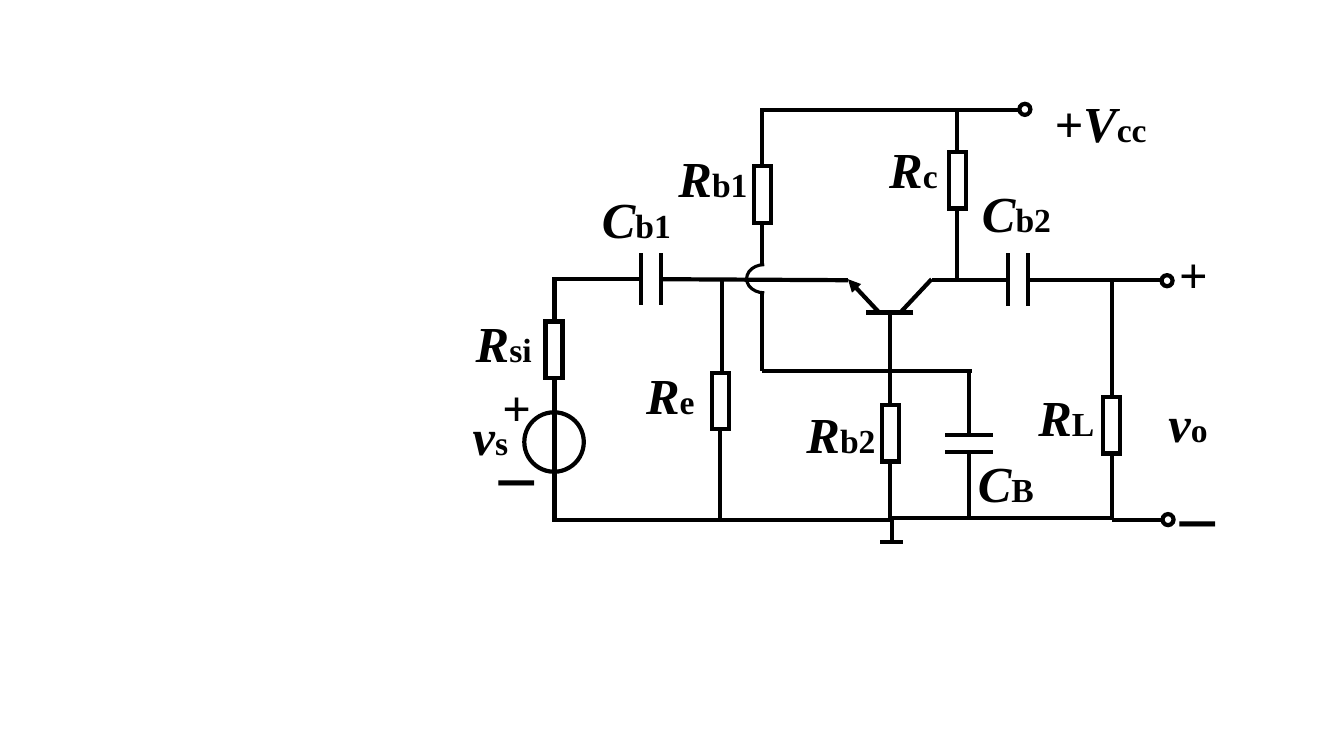
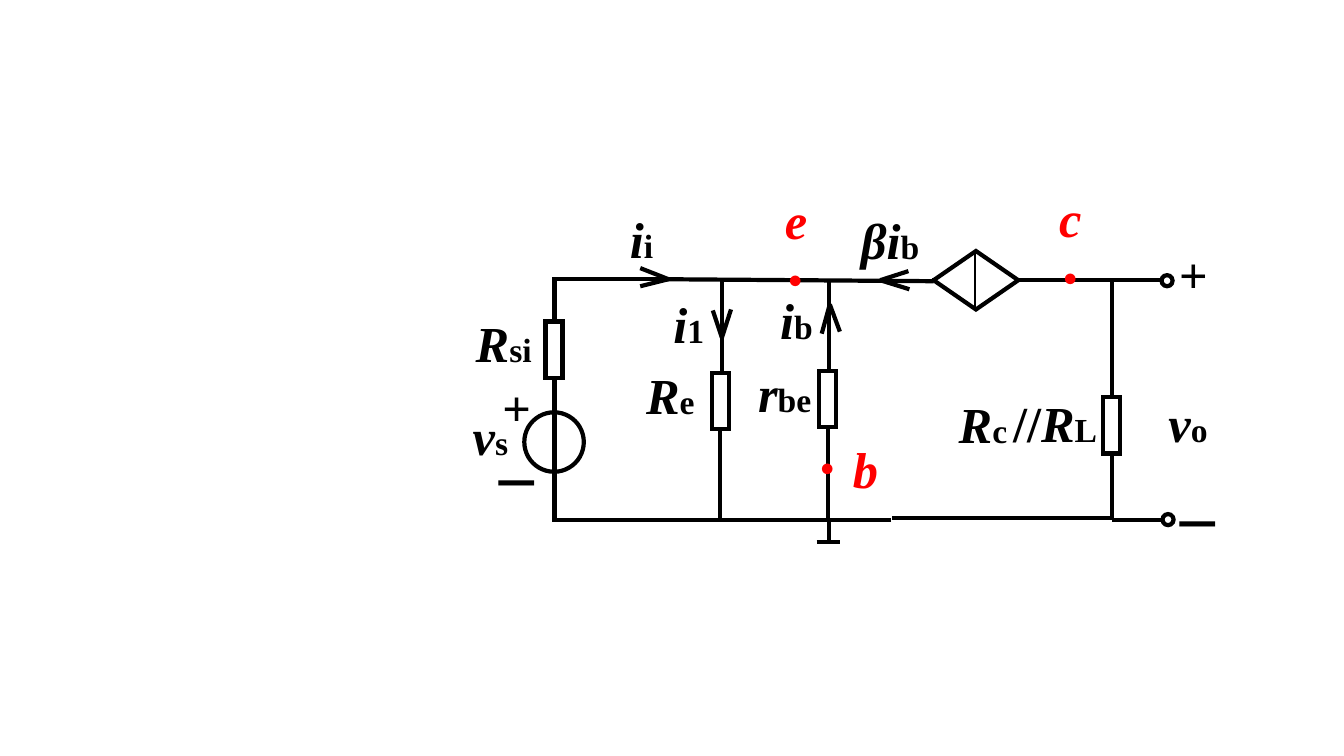
from dataclasses import dataclass

from lxml.etree import SubElement
from pptx import Presentation
from pptx.dml.color import RGBColor
from pptx.enum.shapes import MSO_CONNECTOR, MSO_SHAPE
from pptx.enum.text import MSO_AUTO_SIZE, PP_ALIGN
from pptx.oxml.ns import qn
from pptx.util import Inches, Pt


@dataclass(frozen=True)
class Theme:
    ink: RGBColor = RGBColor(0, 0, 0)
    paper: RGBColor = RGBColor(255, 255, 255)
    accent: RGBColor = RGBColor(255, 0, 0)
    symbol_font: str = "Times New Roman"
    dot_font: str = "Noto Sans CJK SC"
    symbol_size: int = 36
    index_size: int = 24
    wire: float = 3
    hop: float = 2.25
    hairline: float = 1.5
    thin_cover: float = 1


class Circuit:
    """Draws circuit elements on the current page."""

    def __init__(self, deck, theme):
        self.deck = deck
        self.theme = theme
        self.page = None

    def new_page(self):
        self.page = self.deck.slides.add_slide(self.deck.slide_layouts[6])

    def connector(self, kind, start, end, width=None):
        ends = [Inches(value) for value in (*start, *end)]
        line = self.page.shapes.add_connector(kind, *ends)
        line.line.color.rgb = self.theme.ink
        line.line.width = Pt(width or self.theme.wire)
        SubElement(line.element.spPr, qn("a:effectLst"))
        return line.element.spPr

    def wire(self, start, end, width=None, arrow=False):
        properties = self.connector(MSO_CONNECTOR.STRAIGHT, start, end, width)
        if arrow:
            SubElement(properties.find(qn("a:ln")), qn("a:tailEnd"), type="triangle")

    def elbow(self, start, end):
        """A wire with one corner: across from the start, then up or down."""
        properties = self.connector(MSO_CONNECTOR.ELBOW, start, end)
        properties.find(qn("a:prstGeom")).set("prst", "bentConnector2")
        SubElement(properties.find(qn("a:ln")), qn("a:miter"), lim="800000")

    def outline(self, kind, left, top, width, height):
        shape = self.page.shapes.add_shape(
            kind, Inches(left), Inches(top), Inches(width), Inches(height))
        shape.shadow.inherit = False
        shape.fill.solid()
        shape.fill.fore_color.rgb = self.theme.paper
        shape.line.color.rgb = self.theme.ink
        shape.line.width = Pt(self.theme.wire)
        SubElement(shape.element.spPr.find(qn("a:ln")), qn("a:miter"), lim="800000")
        return shape

    def resistor(self, left, top):
        return self.outline(MSO_SHAPE.RECTANGLE, left, top, 0.17, 0.56)

    def terminal(self, left, top):
        self.outline(MSO_SHAPE.OVAL, left, top, 0.11, 0.11)

    def cover(self, left, top, width, height, line_width=None):
        """A paper-coloured strip that opens one end of a capacitor."""
        strip = self.outline(MSO_SHAPE.RECTANGLE, left, top, width, height)
        strip.line.color.rgb = self.theme.paper
        strip.line.width = Pt(line_width or self.theme.wire)

    def upright_capacitor(self, left, top, lower_cover):
        self.outline(MSO_SHAPE.RECTANGLE, left, top, 0.2, 0.57)
        for cover_top in (2.4, lower_cover):
            self.cover(left - 0.1, cover_top, 0.4, 0.09)

    def flat_capacitor(self):
        self.resistor(9.52, 4.12).rotation = 90
        for left, top in ((9.24, 4.19), (9.86, 4.15)):
            self.cover(left, top, 0.13, 0.47, self.theme.thin_cover)

    def wire_hop(self):
        hop = self.outline(MSO_SHAPE.BLOCK_ARC, 7.44, 2.59, 0.28, 0.35)
        hop.rotation = 270
        hop.fill.background()
        hop.line.width = Pt(self.theme.hop)
        for index, value in enumerate((108, 0, 0)):
            hop.adjustments[index] = value

    def ground(self, x):
        self.wire((x, 5.16), (x, 5.38))
        self.wire((x - 0.12, 5.38), (x + 0.11, 5.38))

    def text_box(self, left, top, width, height=0.71):
        box = self.page.shapes.add_textbox(
            Inches(left), Inches(top), Inches(width), Inches(height))
        box.text_frame.word_wrap = False
        box.text_frame.auto_size = MSO_AUTO_SIZE.SHAPE_TO_FIT_TEXT
        return box.text_frame

    def span(self, para, text, size=None, italic=True, color=None, dot=False):
        span = para.add_run()
        span.text = text
        font = span.font
        font.name = self.theme.dot_font if dot else self.theme.symbol_font
        font.size = Pt(size or self.theme.symbol_size)
        font.bold = not dot
        font.italic = italic and not dot
        font.color.rgb = color or self.theme.ink
        SubElement(font._element, qn("a:ea"), typeface=self.theme.dot_font)

    def label(self, left, top, width, symbol, index="", prefix=""):
        """An italic symbol with a small upright index."""
        para = self.text_box(left, top, width).paragraphs[0]
        if prefix:
            self.span(para, prefix, italic=False)
        self.span(para, symbol, italic=symbol != "－")
        if index:
            self.span(para, index, self.theme.index_size, italic=False)

    def node_below(self, left, top, name):
        """A red node name with its dot on the next line."""
        frame = self.text_box(left, top, 0.71, 1.31)
        for para, text in ((frame.paragraphs[0], name), (frame.add_paragraph(), "·")):
            para.alignment = PP_ALIGN.CENTER
            self.span(para, text, color=self.theme.accent, dot=text == "·")

    def node_beside(self, left, top, name):
        para = self.text_box(left, top, 0.96).paragraphs[0]
        for text in ("·", name):
            self.span(para, text, color=self.theme.accent, dot=text == "·")

    def source_and_load(self, input_end):
        """The parts both pages share: source, emitter resistor, load, output."""
        self.outline(MSO_SHAPE.OVAL, 5.2, 4.09, 0.59, 0.59)
        for left, top in ((5.41, 3.19), (7.06, 3.7), (10.94, 3.94)):
            self.resistor(left, top)
        self.elbow((input_end, 2.77), (5.5, 3.19))
        self.elbow((8.84, 5.16), (5.5, 3.75))
        self.elbow((10.19, 2.78), (11.03, 3.94))
        self.elbow((8.85, 5.14), (11.03, 4.5))
        self.wire((7.16, 3.7), (7.16, 2.78))
        self.wire((7.14, 4.26), (7.14, 5.16))
        self.wire((10.62, 2.78), (9.24, 2.78))
        self.wire((11.02, 2.78), (11.58, 2.78))
        self.wire((11.03, 5.16), (11.53, 5.16))
        self.terminal(11.52, 2.73)
        self.terminal(11.53, 5.1)
        for label in (
            (4.62, 3.05, 0.76, "R", "si"),
            (4.59, 3.97, 0.56, "v", "s"),
            (4.88, 3.68, 0.49, "+"),
            (4.78, 4.44, 0.71, "－"),
            (6.31, 3.56, 0.69, "R", "e"),
            (11.59, 2.36, 0.49, "+"),
            (11.53, 4.84, 0.71, "－"),
            (11.49, 3.84, 0.59, "v", "o"),
        ):
            self.label(*label)


def draw_amplifier(circuit):
    circuit.new_page()
    circuit.source_and_load(input_end=6.36)

    # Supply and bias branch
    circuit.elbow((10.13, 1.09), (7.56, 1.65))
    circuit.wire((7.56, 2.63), (7.56, 2.23))
    circuit.wire((7.56, 3.68), (7.56, 2.92))
    circuit.wire_hop()
    circuit.wire((7.56, 3.68), (9.64, 3.68))
    circuit.wire((9.61, 5.14), (9.61, 3.68))
    circuit.wire((9.49, 2.77), (9.49, 1.1))
    circuit.terminal(10.11, 1.03)

    # Transistor
    circuit.wire((8.83, 3.1), (8.83, 5.16))
    circuit.wire((9.06, 3.1), (8.59, 3.1))
    circuit.wire((9.24, 2.77), (8.93, 3.1))
    circuit.wire((8.72, 3.1), (8.41, 2.77), arrow=True)
    circuit.wire((6.55, 2.77), (8.41, 2.78))

    for left, top in ((7.48, 1.65), (9.41, 1.51), (8.75, 4.02)):
        circuit.resistor(left, top)
    circuit.upright_capacitor(6.36, 2.48, lower_cover=3.05)
    circuit.upright_capacitor(10, 2.49, lower_cover=3.06)
    circuit.flat_capacitor()
    circuit.ground(8.85)
    for label in (
        (5.87, 1.82, 0.89, "C", "b1"),
        (6.63, 1.41, 0.89, "R", "b1"),
        (9.64, 1.76, 0.89, "C", "b2"),
        (10.36, 0.86, 1.12, "+V", "cc"),
        (10.2, 3.78, 0.76, "R", "L"),
        (8.72, 1.32, 0.69, "R", "c"),
        (7.9, 3.95, 0.89, "R", "b2"),
        (9.6, 4.44, 0.76, "C", "B"),
    ):
        circuit.label(*label)


def draw_small_signal_model(circuit):
    circuit.new_page()
    circuit.source_and_load(input_end=6.67)

    circuit.wire((6.55, 2.77), (9.26, 2.79))
    circuit.wire((8.22, 3.68), (8.22, 2.77))
    circuit.wire((8.21, 4.24), (8.21, 5.14))
    circuit.resistor(8.12, 3.68)
    circuit.ground(8.22)
    circuit.outline(MSO_SHAPE.DIAMOND, 9.26, 2.49, 0.84, 0.58)
    circuit.wire((9.67, 2.49), (9.67, 3.07), width=circuit.theme.hairline)

    # Current arrows
    for start, tip, end in (
        ((6.35, 2.66), (6.63, 2.77), (6.35, 2.84)),
        ((7.25, 3.07), (7.16, 3.35), (7.07, 3.08)),
        ((8.15, 3.31), (8.23, 3.02), (8.33, 3.29)),
        ((9.02, 2.87), (8.73, 2.78), (9.01, 2.69)),
    ):
        circuit.wire(start, tip)
        circuit.wire(tip, end)

    circuit.node_beside(7.86, 4.3, "b")
    circuit.node_below(7.54, 1.83, "e")
    circuit.node_below(10.26, 1.81, "c")
    for label in (
        (9.95, 3.84, 1.04, "R", "L", "//"),
        (9.41, 3.85, 0.69, "R", "c"),
        (7.42, 3.54, 0.73, "r", "be"),
        (6.15, 2.02, 0.44, "i", "i"),
        (6.58, 2.86, 0.51, "i", "1"),
        (7.64, 2.82, 0.53, "i", "b"),
        (8.44, 2.03, 0.79, "βi", "b"),
    ):
        circuit.label(*label)


def main():
    deck = Presentation()
    deck.slide_width = Inches(13.33)
    deck.slide_height = Inches(7.5)
    circuit = Circuit(deck, Theme())
    draw_amplifier(circuit)
    draw_small_signal_model(circuit)
    deck.save("out.pptx")


if __name__ == "__main__":
    main()
